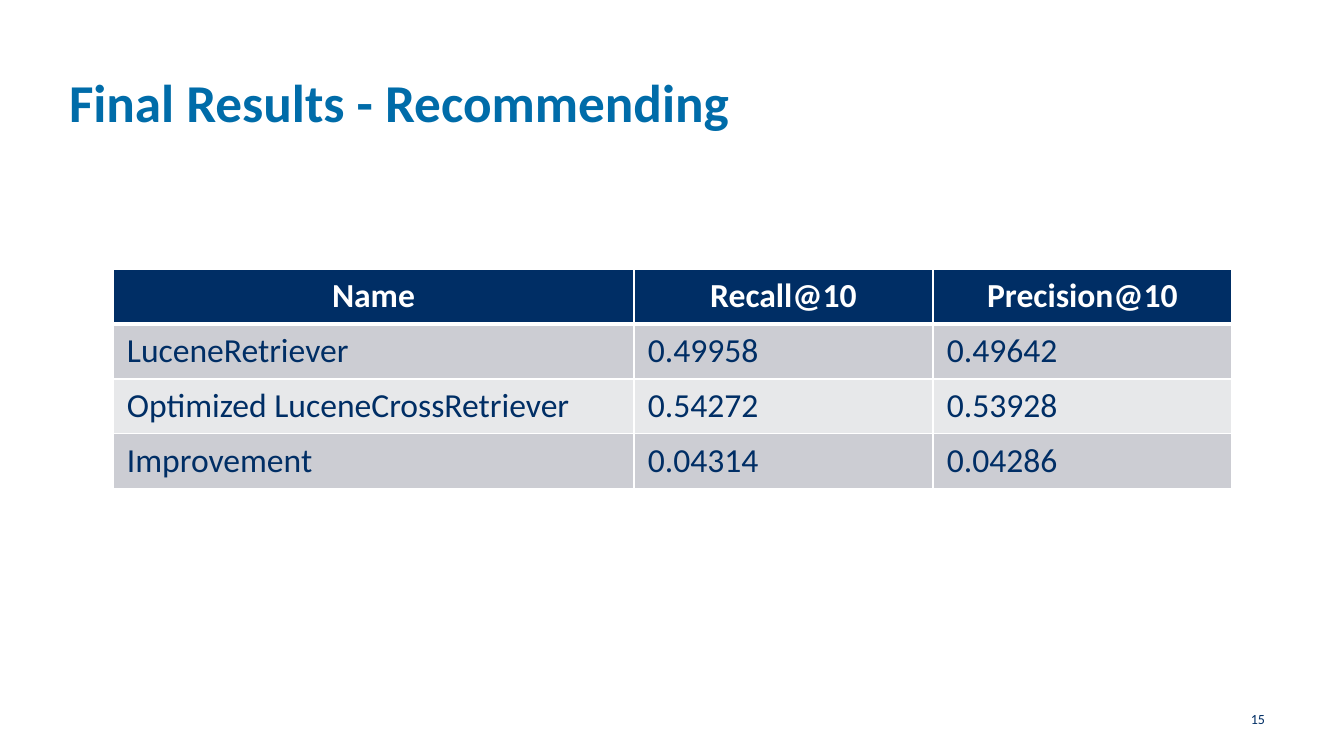
from lxml import etree
from pptx import Presentation
from pptx.dml.color import RGBColor
from pptx.enum.text import MSO_ANCHOR, PP_ALIGN
from pptx.oxml.ns import qn
from pptx.util import Emu, Pt

LEFT, RIGHT = PP_ALIGN.LEFT, PP_ALIGN.RIGHT
CENTER, JUSTIFY = PP_ALIGN.CENTER, PP_ALIGN.JUSTIFY
TOP, MIDDLE = MSO_ANCHOR.TOP, MSO_ANCHOR.MIDDLE

FONT = "Calibri"
NAVY, BLUE, WHITE = "002E65", "006CA9", "FFFFFF"
BANDS = ("E7E8EA", "CCCDD3")

RESULTS = [
    ("Name", "Recall@10", "Precision@10"),
    ("LuceneRetriever", "0.49958", "0.49642"),
    ("Optimized LuceneCrossRetriever", "0.54272", "0.53928"),
    ("Improvement", "0.04314", "0.04286"),
]


def px(n):
    return Emu(round(n * 914400 / 100.8))


def color(code):
    return RGBColor.from_string(code)


class Deck:
    """Holds the text style and the current slide."""

    def __init__(self, width, height):
        self.prs = Presentation()
        self.prs.slide_width, self.prs.slide_height = px(width), px(height)
        self.slide = self.prs.slides.add_slide(self.prs.slide_layouts[6])

    def label(self, frame, text, size, ink, bold=False, align=LEFT, after=0):
        para = frame.paragraphs[0]
        para.alignment = align
        para.space_after = Pt(after)
        run = para.add_run()
        run.text = text
        font = run.font
        font.name, font.size, font.bold = FONT, Pt(size), bold
        font.color.rgb = color(ink)

    def text(self, box, text, size, ink, inset=0, anchor=TOP, **style):
        frame = self.slide.shapes.add_textbox(*map(px, box)).text_frame
        frame.word_wrap = True
        frame.vertical_anchor = anchor
        frame.margin_left = frame.margin_right = px(inset)
        frame.margin_top = frame.margin_bottom = 0
        self.label(frame, text, size, ink, **style)

    def border(self, cell, side, points):
        props = cell._tc.get_or_add_tcPr()
        line = etree.SubElement(props, qn(f"a:ln{side}"), w=str(Pt(points)))
        fill = etree.SubElement(line, qn("a:solidFill"))
        etree.SubElement(fill, qn("a:srgbClr"), val=WHITE)

    def cell(self, cell, text, row):
        head = row == 0
        cell.margin_left = cell.margin_right = px(14)
        cell.margin_top = cell.margin_bottom = px(7)
        # A thick rule parts the header from the body
        widths = {"L": 1, "R": 1, "T": 3 if row == 1 else 1, "B": 3 if head else 1}
        for side, points in widths.items():
            self.border(cell, side, points)
        cell.fill.solid()
        cell.fill.fore_color.rgb = color(NAVY if head else BANDS[row % 2])
        self.label(cell.text_frame, text, 24, WHITE if head else NAVY,
                   bold=head, align=CENTER if head else JUSTIFY, after=12)

    def table(self, left, top, cols, height, rows):
        table = self.slide.shapes.add_table(
            len(rows), len(cols), px(left), px(top),
            px(sum(cols)), px(height * len(rows))).table
        table.horz_banding = False
        for col, width in zip(table.columns, cols):
            col.width = px(width)
        for r, row in enumerate(rows):
            table.rows[r].height = px(height)
            for c, text in enumerate(row):
                self.cell(table.cell(r, c), text, r)


def main():
    deck = Deck(1344, 756)

    # Title
    deck.text((69, 69, 1206, 88), "Final Results - Recommending", 38, BLUE, bold=True)

    # Results table
    deck.table(113, 269, (521, 299, 299), 55, RESULTS)

    # Slide number
    deck.text((984, 699, 291, 40), "15", 10, NAVY, inset=10, anchor=MIDDLE, align=RIGHT)

    deck.prs.save("out.pptx")


if __name__ == "__main__":
    main()
